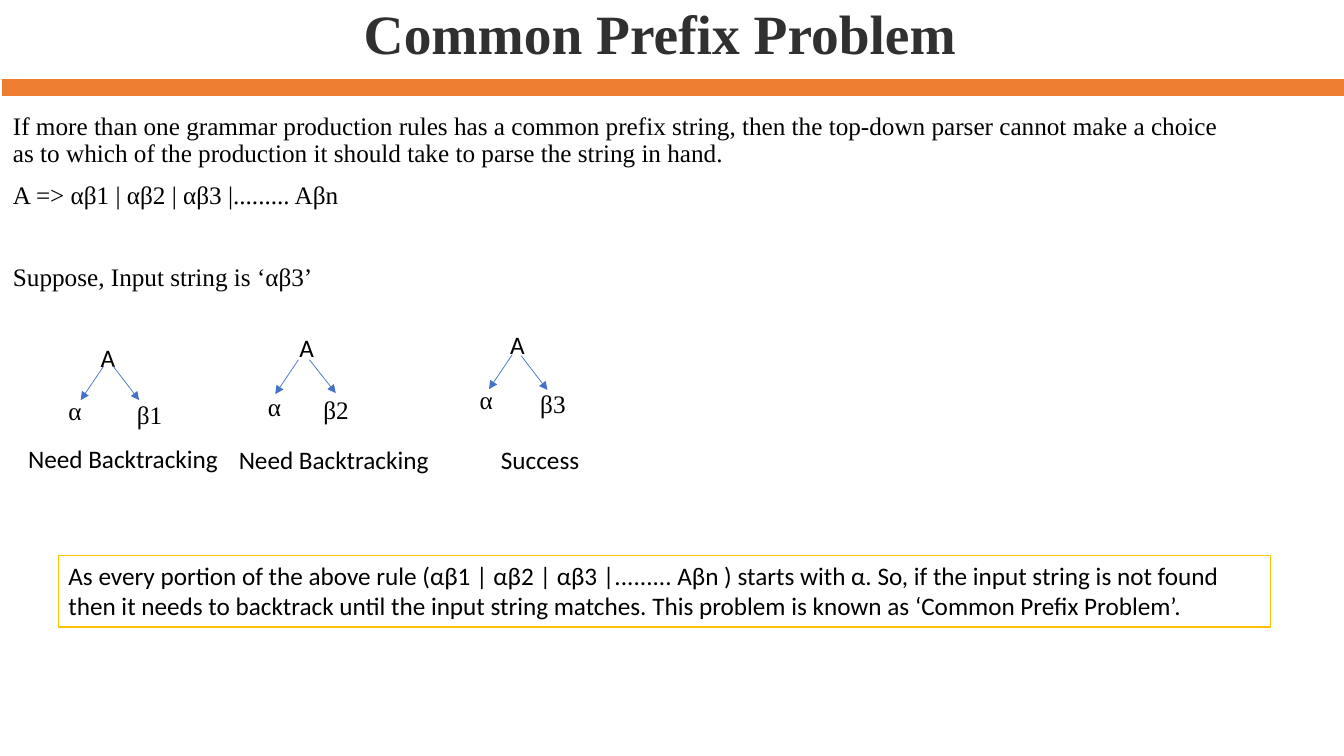
from lxml import etree
from pptx import Presentation
from pptx.dml.color import RGBColor
from pptx.enum.shapes import MSO_CONNECTOR, MSO_SHAPE
from pptx.enum.text import MSO_ANCHOR, PP_ALIGN
from pptx.oxml.ns import qn
from pptx.util import Pt

STRAIGHT = MSO_CONNECTOR.STRAIGHT
RECT = MSO_SHAPE.RECTANGLE
TOP, MIDDLE = MSO_ANCHOR.TOP, MSO_ANCHOR.MIDDLE
LEFT, CENTER = PP_ALIGN.LEFT, PP_ALIGN.CENTER

PX = 9144  # EMU per px, 100 px to the inch
THEME = {
    "serif": "Times New Roman", "sans": "Calibri",
    "title_size": 39.6, "text_size": 18,
    "title": "303030", "text": "000000", "paper": "FFFFFF",
    "rule": "ED7D31", "arrow": "4472C4", "frame": "FFC000",
}

prs = Presentation()
prs.slide_width, prs.slide_height = 1333 * PX, 750 * PX
s = prs.slides.add_slide(prs.slide_layouts[6])


def write(box, text, font, size="text_size", color="text", bold=False,
          align=LEFT, anchor=TOP, spacing=1.0, before=0, new=False, wrap=True):
    tf = box.text_frame
    tf.word_wrap = wrap
    tf.vertical_anchor = anchor
    p = tf.add_paragraph() if new else tf.paragraphs[0]
    p.alignment, p.line_spacing, p.space_before = align, spacing, Pt(before)
    r = p.add_run()
    r.text = text
    r.font.name, r.font.size, r.font.bold = THEME[font], Pt(THEME[size]), bold
    r.font.color.rgb = RGBColor.from_string(THEME[color])


def line(x1, y1, x2, y2, color, width, arrow=False):
    c = s.shapes.add_connector(STRAIGHT, x1 * PX, y1 * PX, x2 * PX, y2 * PX)
    c.line.color.rgb = RGBColor.from_string(THEME[color])
    c.line.width = Pt(width)
    if arrow:
        etree.SubElement(c.line._get_or_add_ln(), qn("a:tailEnd"), type="triangle")
    etree.SubElement(c._element.spPr, qn("a:effectLst"))


# Title and rule
title = s.shapes.add_textbox(67 * PX, 0, 1175 * PX, 72 * PX)
write(title, "Common Prefix Problem", "serif", "title_size", "title",
      bold=True, align=CENTER, anchor=MIDDLE, spacing=0.9)
line(2, 87, 1333, 87, "rule", 12)

# Explanation
body = s.shapes.add_textbox(3 * PX, 108 * PX, 1239 * PX, 528 * PX)
paragraphs = [
    ("If more than one grammar production rules has a common prefix string, "
     "then the top-down parser cannot make a choice as to which of the "
     "production it should take to parse the string in hand.", 10),
    ("A => αβ1 | αβ2 | αβ3 |......... Αβn", 10),
    ("Suppose, Input string is ‘αβ3’", 39.6),
]
for i, (text, before) in enumerate(paragraphs):
    write(body, text, "serif", spacing=0.9, before=before, new=i > 0)

# Parse trees: root, left leaf, right leaf, then both arrows
trees = [
    ("β1", (90, 335), (58, 387), (126, 391),
     (103, 363, 80, 397), (112, 363, 138, 397)),
    ("β2", (287, 325), (256, 383), (311, 386),
     (296, 357, 273, 391), (307, 357, 333, 390)),
    ("β3", (496, 322), (466, 376), (526, 380),
     (508, 352, 485, 386), (517, 353, 543, 387)),
]
for beta, root, left, right, *arrows in trees:
    nodes = [("A", root, 35, "sans"), ("α", left, 33, "serif"),
             (beta, right, 46, "serif")]
    for text, (x, y), w, font in nodes:
        node = s.shapes.add_textbox(x * PX, y * PX, w * PX, 40 * PX)
        write(node, text, font, wrap=False)
    for ends in arrows:
        line(*ends, "arrow", 0.5, arrow=True)

# Outcome of each tree
outcomes = [("Need Backtracking", 18, 435, 255),
            ("Need Backtracking", 227, 436, 277),
            ("Success", 487, 436, 100)]
for text, x, y, w in outcomes:
    write(s.shapes.add_textbox(x * PX, y * PX, w * PX, 40 * PX), text, "sans")

# Conclusion
note = s.shapes.add_shape(RECT, 58 * PX, 551 * PX, 1202 * PX, 71 * PX)
note.shadow.inherit = False
note.fill.solid()
note.fill.fore_color.rgb = RGBColor.from_string(THEME["paper"])
note.line.color.rgb = RGBColor.from_string(THEME["frame"])
note.line.width = Pt(1)
write(note, "As every portion of the above rule (αβ1 | αβ2 | αβ3 |......... Αβn ) "
      "starts with α. So, if the input string is not found then it needs to "
      "backtrack until the input string matches. This problem is known as "
      "‘Common Prefix Problem’.", "sans")

prs.save("out.pptx")
